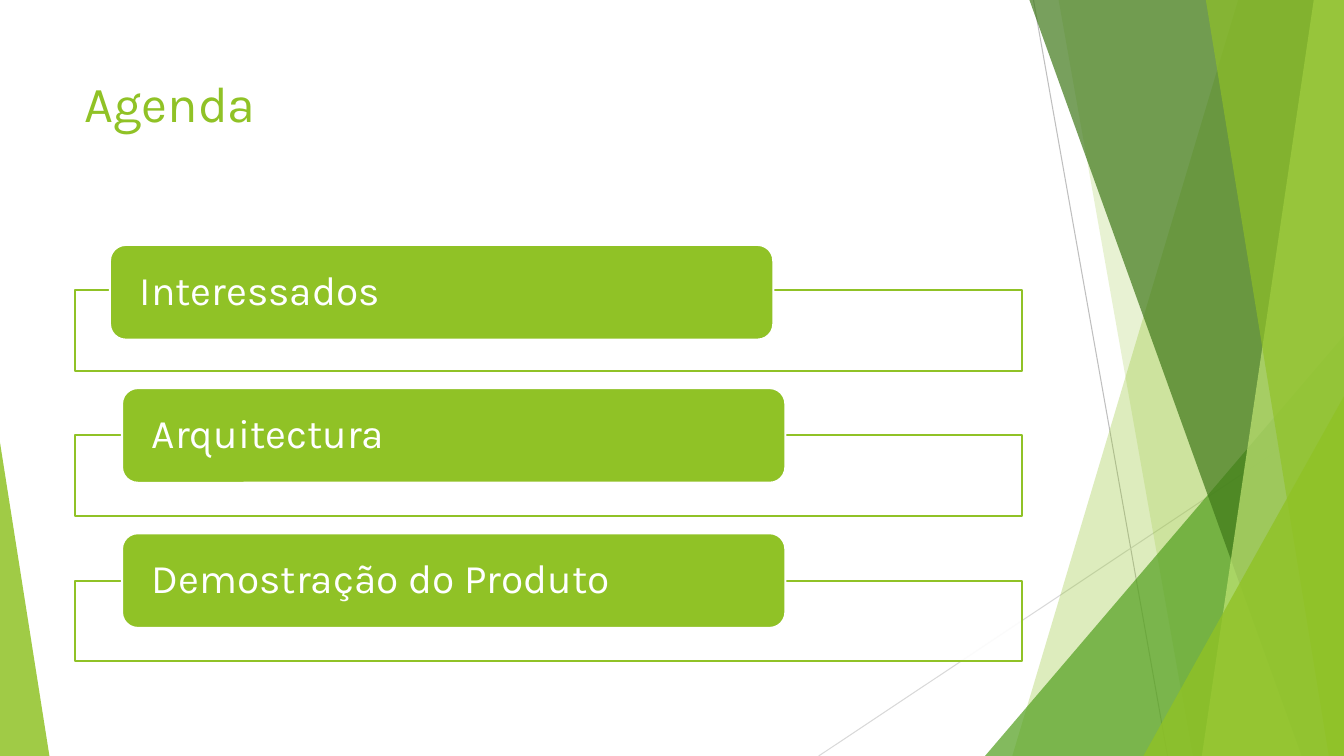
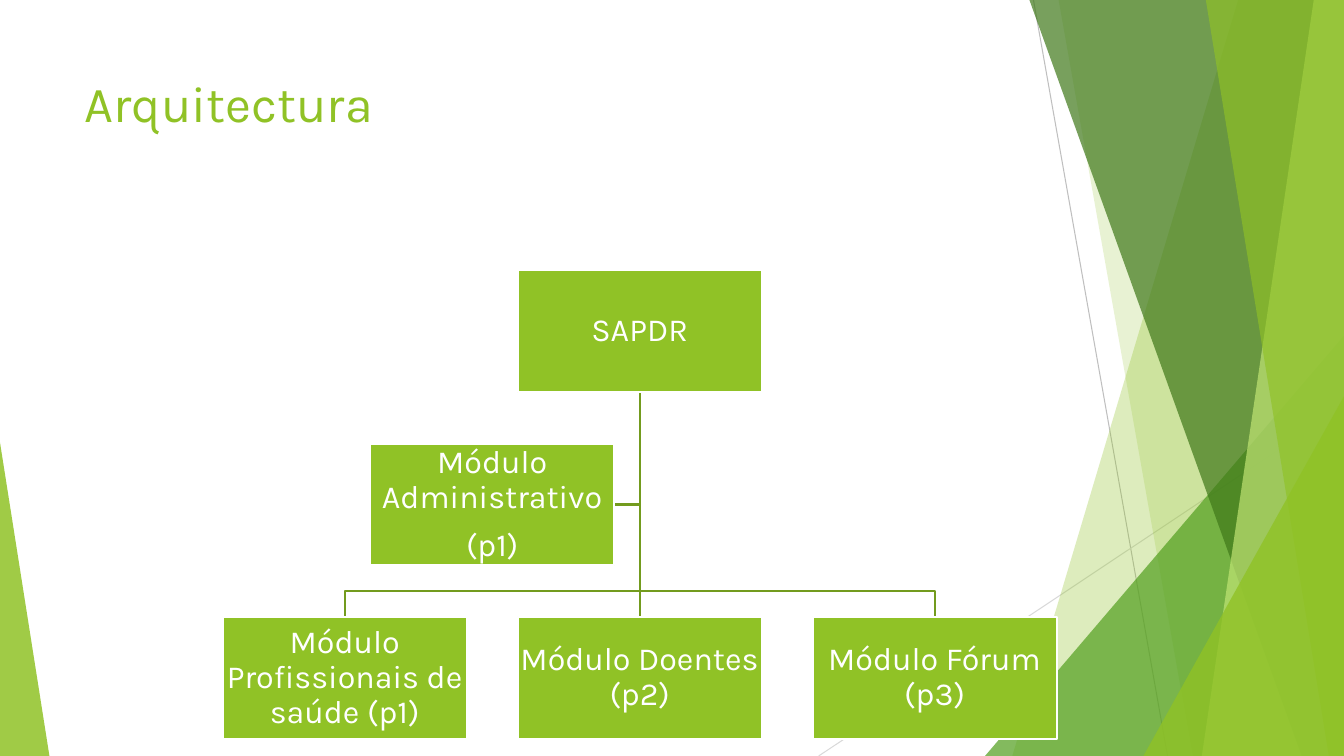
from dataclasses import dataclass

from lxml import etree
from pptx import Presentation
from pptx.dml.color import RGBColor
from pptx.enum.shapes import MSO_CONNECTOR as Connector, MSO_SHAPE as Shape
from pptx.enum.text import MSO_ANCHOR as Anchor, PP_ALIGN as Align
from pptx.oxml.ns import qn
from pptx.util import Inches, Pt


@dataclass(frozen=True)
class Theme:
    font: str = "Karla"
    accent: str = "90C226"
    leaf: str = "54A021"
    forest: str = "3F7819"
    lime: str = "C0E474"
    branch: str = "739B1E"
    white: str = "FFFFFF"
    ray: str = "BFBFBF"
    pale_ray: str = "D9D9D9"
    title_size: int = 36
    agenda_size: int = 29
    node_size: int = 23
    outline: float = 1.5
    hairline: float = 0.75
    line_spacing: float = 0.9
    paragraph_gap: float = 0.4


@dataclass(frozen=True)
class Box:
    left: float
    top: float
    width: float
    height: float

    @property
    def right(self):
        return self.left + self.width

    @property
    def bottom(self):
        return self.top + self.height

    @property
    def center(self):
        return self.left + self.width / 2

    @property
    def middle(self):
        return self.top + self.height / 2

    def lengths(self):
        return [Inches(value) for value in (self.left, self.top, self.width, self.height)]


THEME = Theme()
PAGE = Box(0, 0, 13.33, 7.5)
TITLE = Box(0.74, 0.67, 9.4, 1.44)
AGENDA = Box(0.74, 2.88, 9.4, 3.68)
CHART = Box(2.21, 2.68, 8.27, 4.65)


def paint(shape, fill=None, opacity=100, line=None):
    shape.shadow.inherit = False
    if fill:
        shape.fill.solid()
        shape.fill.fore_color.rgb = RGBColor.from_string(fill)
        if opacity < 100:
            color = shape._element.spPr.find(qn("a:solidFill")).find(qn("a:srgbClr"))
            etree.SubElement(color, qn("a:alpha"), val=str(opacity * 1000))
    else:
        shape.fill.background()
    if line:
        shape.line.color.rgb = RGBColor.from_string(line)
        shape.line.width = Pt(THEME.outline)
    else:
        shape.line.fill.background()


def add_block(slide, preset, box, fill, opacity=100, line=None):
    shape = slide.shapes.add_shape(preset, *box.lengths())
    paint(shape, fill, opacity, line)
    return shape


def add_outline(slide, points, closed=False, **style):
    corners = [(Inches(x), Inches(y)) for x, y in points]
    builder = slide.shapes.build_freeform(*corners[0], scale=1.0)
    builder.add_line_segments(corners[1:], close=closed)
    paint(builder.convert_to_shape(), **style)


def add_line(slide, start, end, color, width):
    points = [Inches(value) for value in (*start, *end)]
    connector = slide.shapes.add_connector(Connector.STRAIGHT, *points)
    connector.line.color.rgb = RGBColor.from_string(color)
    connector.line.width = Pt(width)
    etree.SubElement(connector._element.spPr, qn("a:effectLst"))


def write(shape, text, size, color, align=Align.LEFT, anchor=Anchor.MIDDLE,
          inset=(0.02, 0.02), spacing=THEME.line_spacing):
    frame = shape.text_frame
    frame.word_wrap = True
    frame.vertical_anchor = anchor
    frame.margin_left = frame.margin_right = Inches(inset[0])
    frame.margin_top = frame.margin_bottom = Inches(inset[1])
    frame.text = text
    for paragraph in frame.paragraphs:
        paragraph.alignment = align
        paragraph.line_spacing = spacing
        paragraph.space_after = Pt(size * THEME.paragraph_gap)
        for run in paragraph.runs:
            run.font.name = THEME.font
            run.font.size = Pt(size)
            run.font.color.rgb = RGBColor.from_string(color)


def add_shard(slide, box, top_x, bottom_x, color, opacity):
    points = [(top_x, box.top), (box.right, box.top),
              (box.right, box.bottom), (bottom_x, box.bottom)]
    add_outline(slide, points, closed=True, fill=color, opacity=opacity)


def add_corner(slide, box, width, height, color, opacity, on_right=True):
    left = box.right - width if on_right else box.left
    area = Box(left, box.bottom - height, width, height)
    triangle = add_block(slide, Shape.ISOSCELES_TRIANGLE, area, color, opacity)
    triangle.adjustments[0] = 1 if on_right else 0


def add_backdrop(slide, box):
    add_line(slide, (10.25, box.top), (11.58, box.bottom), THEME.ray, THEME.hairline)
    add_line(slide, (box.right, 4.03), (8.12, box.bottom), THEME.pale_ray, THEME.hairline)
    add_shard(slide, box, 12.28, 10.04, THEME.accent, 30)
    add_shard(slide, box, 10.5, 11.83, THEME.accent, 20)
    add_corner(slide, box, 3.56, 4.17, THEME.leaf, 72)
    add_shard(slide, box, 10.21, 12.91, THEME.forest, 70)
    add_shard(slide, box, 13.03, 11.92, THEME.lime, 70)
    add_shard(slide, box, 11.96, 13.18, THEME.accent, 65)
    add_corner(slide, box, 1.99, 3.57, THEME.accent, 80)
    add_corner(slide, box, 0.49, 3.11, THEME.accent, 85, on_right=False)


def add_title(slide, box, text):
    title = slide.shapes.add_textbox(*box.lengths())
    write(title, text, THEME.title_size, THEME.accent, anchor=Anchor.TOP,
          inset=(0.1, 0.05), spacing=1)


def add_agenda(slide, box, topics):
    frame_height = 0.8
    pitch = (box.height - frame_height) / (len(topics) - 1)
    for index, (topic, indent, rise) in enumerate(topics):
        frame = Box(box.left, box.top + index * pitch, box.width, frame_height)
        add_block(slide, Shape.RECTANGLE, frame, THEME.white, 90, THEME.accent)
        tab = Box(frame.left + indent, frame.top - rise, 0.7 * box.width, 0.94)
        label = add_block(slide, Shape.ROUNDED_RECTANGLE, tab, THEME.accent, line=THEME.white)
        write(label, topic, THEME.agenda_size, THEME.white, inset=(0.25, 0))


def add_organization(slide, box, root, assistant, modules):
    width, height, drop = 2.42, 1.21, 0.26
    column_pitch = (box.width - width) / (len(modules) - 1)
    row_pitch = (box.height - height) / 2

    def place(column, row):
        return Box(box.left + column * column_pitch, box.top + row * row_pitch, width, height)

    root_box = place((len(modules) - 1) / 2, 0)
    assistant_box = place(0.5, 1)
    module_boxes = [place(column, 2) for column in range(len(modules))]
    trunk, start = root_box.center, root_box.bottom

    add_outline(slide, [(trunk, start), (trunk, assistant_box.middle),
                        (assistant_box.right, assistant_box.middle)], line=THEME.branch)
    for module in module_boxes:
        if abs(module.center - trunk) < 0.01:
            add_line(slide, (trunk, start), (trunk, module.top), THEME.branch, THEME.outline)
        else:
            turn = module.top - drop
            add_outline(slide, [(trunk, start), (trunk, turn), (module.center, turn),
                                (module.center, module.top)], line=THEME.branch)

    labels = [root, *modules, assistant]
    for label, area in zip(labels, [root_box, *module_boxes, assistant_box]):
        node = add_block(slide, Shape.RECTANGLE, area, THEME.accent, line=THEME.white)
        write(node, label, THEME.node_size, THEME.white, align=Align.CENTER)


def add_page(presentation, title):
    slide = presentation.slides.add_slide(presentation.slide_layouts[6])
    add_backdrop(slide, PAGE)
    add_title(slide, TITLE, title)
    return slide


def main():
    presentation = Presentation()
    presentation.slide_width = Inches(PAGE.width)
    presentation.slide_height = Inches(PAGE.height)

    agenda = add_page(presentation, "Agenda")
    add_agenda(agenda, AGENDA, [
        ("Interessados", 0.35, 0.45),
        ("Arquitectura", 0.47, 0.47),
        ("Demostração do Produto", 0.47, 0.47),
    ])

    architecture = add_page(presentation, "Arquitectura")
    add_organization(
        architecture, CHART, "SAPDR", "Módulo Administrativo\n(p1)",
        ["Módulo Profissionais de saúde (p1)", "Módulo Doentes (p2)", "Módulo Fórum (p3)"],
    )

    presentation.save("out.pptx")


main()
